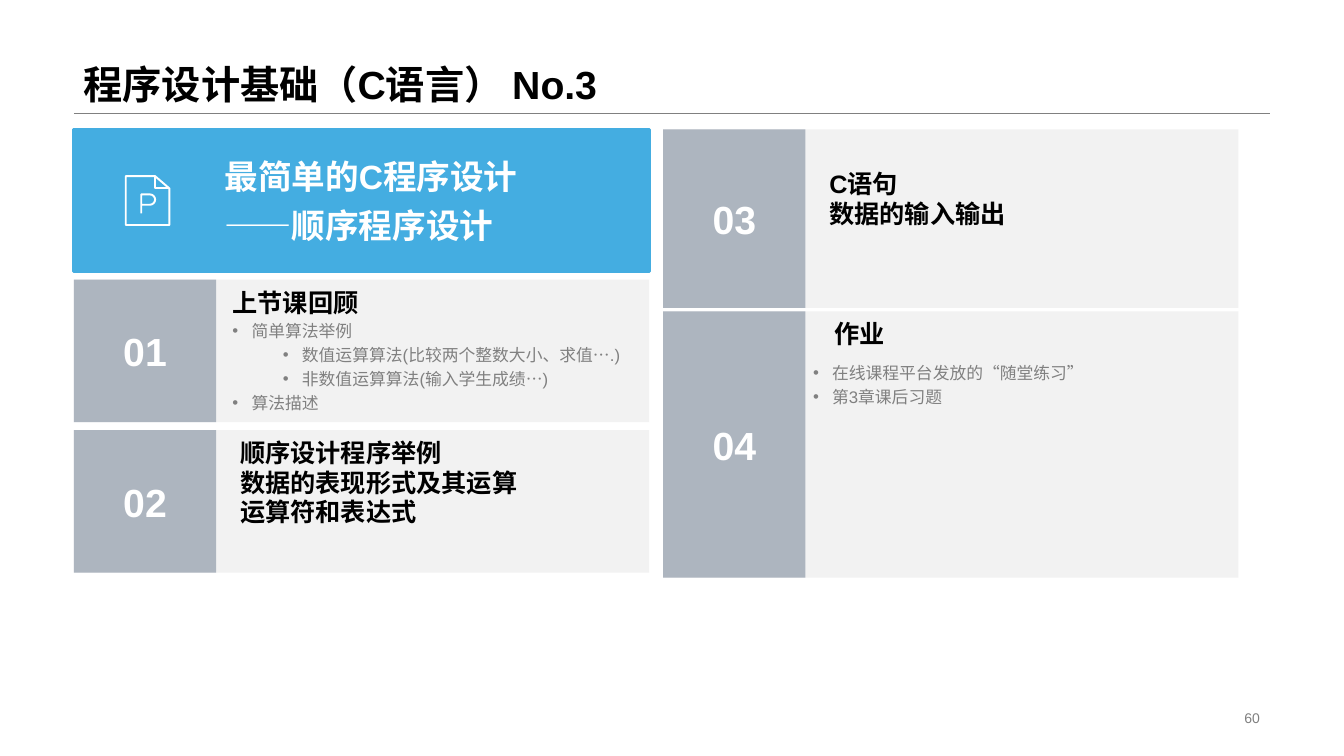
"""Build the outline slide for lesson 3 of a C programming course."""
from dataclasses import dataclass
from math import cos, pi, sin

from lxml.etree import SubElement
from pptx import Presentation
from pptx.dml.color import RGBColor
from pptx.enum.lang import MSO_LANGUAGE_ID as Language
from pptx.enum.shapes import MSO_CONNECTOR as Connector, MSO_SHAPE as Shape
from pptx.enum.text import MSO_ANCHOR as Anchor, PP_ALIGN as Align
from pptx.oxml.ns import qn
from pptx.util import Cm, Pt


@dataclass(frozen=True)
class Theme:
    font: str = "Arial"
    ink: str = "000000"
    grey: str = "808080"
    white: str = "FFFFFF"
    blue: str = "44ADE1"
    slate: str = "ADB5BF"
    panel: str = "F2F2F2"
    title: int = 28
    topic: int = 24
    heading: int = 18
    detail: int = 12
    footer: int = 10


theme = Theme()
deck = Presentation()
deck.slide_width, deck.slide_height = Cm(33.87), Cm(19.05)
page = deck.slides.add_slide(deck.slide_layouts[6])


def write(box, text, size=theme.heading, color=theme.ink, bold=True, align=Align.LEFT,
          anchor=Anchor.TOP, spacing=1.0, levels=None, wrap=True):
    frame = box.text_frame
    frame.word_wrap = wrap
    frame.vertical_anchor = anchor
    for index, line in enumerate(text.split("\n")):
        para = frame.add_paragraph() if index else frame.paragraphs[0]
        para.alignment = align
        para.line_spacing = spacing
        if levels:
            para.level = levels[index]
            properties = para._p.get_or_add_pPr()
            properties.set("marL", str(Cm(0.48 + 1.27 * levels[index])))
            properties.set("indent", str(Cm(-0.48)))
            SubElement(properties, qn("a:buFont")).set("typeface", theme.font)
            SubElement(properties, qn("a:buChar")).set("char", "•")
        span = para.add_run()
        span.text = line
        span.font.name = theme.font
        span.font.size = Pt(size)
        span.font.bold = bold
        span.font.color.rgb = RGBColor.from_string(color)
        span.font.language_id = Language.SIMPLIFIED_CHINESE


def add_block(left, top, width, height, color):
    block = page.shapes.add_shape(Shape.RECTANGLE, Cm(left), Cm(top), Cm(width), Cm(height))
    block.shadow.inherit = False
    block.fill.solid()
    block.fill.fore_color.rgb = RGBColor.from_string(color)
    block.line.fill.background()
    return block


left_column, right_column = 1.86, 16.71
card_width, badge_width = 14.5, 3.59
first_row, row_height, row_pitch = 3.26, 3.59, 3.79

rule = page.shapes.add_connector(Connector.STRAIGHT, Cm(left_column), Cm(2.85), Cm(32), Cm(2.85))
rule.line.color.rgb = RGBColor.from_string(theme.grey)
rule.line.width = Pt(0.25)
SubElement(rule._element.spPr, qn("a:effectLst"))

title = page.shapes.add_textbox(Cm(left_column), Cm(0), Cm(30.15), Cm(2.85))
write(title, "程序设计基础（C语言） No.3", size=theme.title, anchor=Anchor.BOTTOM, spacing=0.9)

number = page.shapes.add_textbox(Cm(23.93), Cm(17.8), Cm(8.07), Cm(0.6))
write(number, "60", size=theme.footer, color=theme.grey, bold=False,
      align=Align.RIGHT, anchor=Anchor.MIDDLE)

cards = [
    ("01", left_column, first_row + row_pitch, row_height),
    ("02", left_column, first_row + 2 * row_pitch, row_height),
    ("03", right_column, first_row, 4.5),
    ("04", right_column, 7.85, 6.71),
]
for label, left, top, height in cards:
    add_block(left, top, card_width, height, theme.panel)
    badge = add_block(left, top, badge_width, height, theme.slate)
    write(badge, label, size=theme.title, color=theme.white,
          align=Align.CENTER, anchor=Anchor.MIDDLE)

banner = add_block(left_column, first_row, card_width, row_height, theme.blue)
banner.line.color.rgb = RGBColor.from_string(theme.blue)
banner.line.width = Pt(2)
topic = page.shapes.add_textbox(Cm(5.41), Cm(3.68), Cm(10.31), Cm(2.62))
write(topic, "最简单的C程序设计\n——顺序程序设计", size=theme.topic, color=theme.white,
      anchor=Anchor.BOTTOM, spacing=1.2)

sheet = [(3.17, 4.44), (3.91, 4.44), (4.27, 4.75), (4.27, 5.67), (3.17, 5.67), (3.17, 4.44)]
fold = [(3.91, 4.44), (3.91, 4.75), (4.27, 4.75)]
bowl = [(3.78 + 0.13 * sin(pi * step / 8), 5.03 - 0.13 * cos(pi * step / 8)) for step in range(9)]
letter = [(3.56, 5.38), (3.56, 4.9), *bowl, (3.56, 5.16)]
for outline in (sheet, fold, letter):
    points = [(Cm(x), Cm(y)) for x, y in outline]
    builder = page.shapes.build_freeform(*points[0])
    builder.add_line_segments(points[1:], close=outline is sheet)
    stroke = builder.convert_to_shape()
    stroke.shadow.inherit = False
    stroke.fill.background()
    stroke.line.color.rgb = RGBColor.from_string(theme.white)
    stroke.line.width = Pt(1.4)

headings = [
    ("上节课回顾", 5.61, 7.11),
    ("顺序设计程序举例\n数据的表现形式及其运算", 5.8, 10.9),
    ("运算符和表达式", 5.8, 12.37),
    ("C语句\n数据的输入输出", 20.65, 4.11),
    ("作业", 20.78, 7.9),
]
for text, left, top in headings:
    lines = text.count("\n") + 1
    box = page.shapes.add_textbox(Cm(left), Cm(top), Cm(9.93), Cm(0.24 + 0.78 * lines))
    write(box, text)

details = [
    ("简单算法举例\n数值运算算法(比较两个整数大小、求值….)\n非数值运算算法(输入学生成绩…)\n算法描述",
     (0, 1, 1, 0), 5.61, 7.85),
    ("在线课程平台发放的“随堂练习”\n第3章课后习题", (0, 0), 20.24, 8.92),
]
for text, levels, left, top in details:
    box = page.shapes.add_textbox(Cm(left), Cm(top), Cm(10.72), Cm(2.77))
    write(box, text, size=theme.detail, color=theme.grey, bold=False,
          spacing=1.2, levels=levels, wrap=False)

deck.save("out.pptx")
